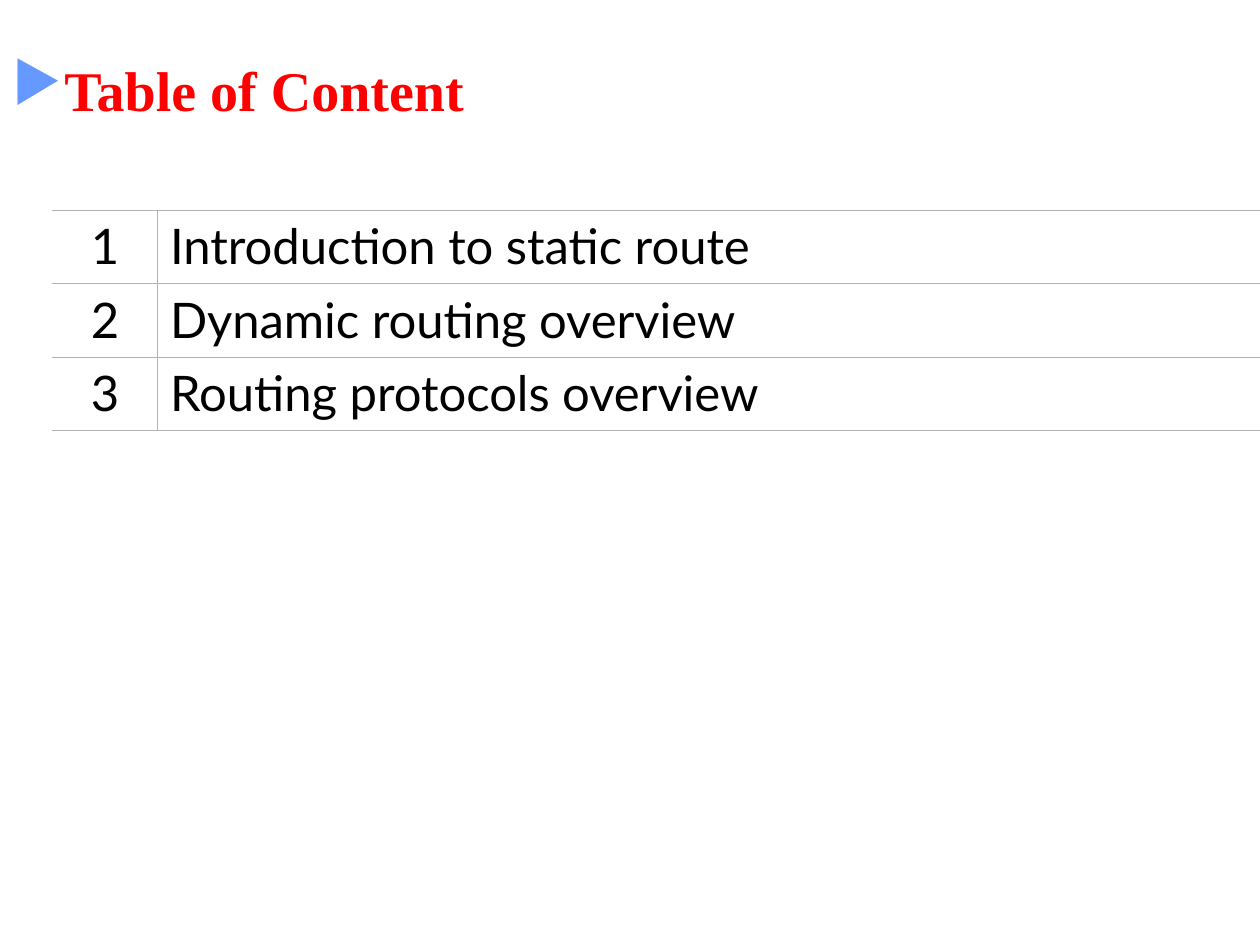
from lxml import etree
from pptx import Presentation
from pptx.dml.color import RGBColor
from pptx.enum.text import MSO_ANCHOR, PP_ALIGN
from pptx.oxml.ns import qn
from pptx.util import Inches, Pt

RED = RGBColor(0xFF, 0x00, 0x00)
BLACK = RGBColor(0x00, 0x00, 0x00)
BULLET_BLUE = RGBColor(0x66, 0x99, 0xFF)
RULE_GREY = RGBColor(0xB2, 0xB2, 0xB2)
MIDDLE, TOP = MSO_ANCHOR.MIDDLE, MSO_ANCHOR.TOP
LEFT, CENTER = PP_ALIGN.LEFT, PP_ALIGN.CENTER

GRID_COLUMNS, GRID_ROWS = 120, 90
TOPICS = [
    "Introduction to static route",
    "Dynamic routing overview",
    "Routing protocols overview",
]


class ContentsSlide:
    """Style and current slide; positions are in grid columns and rows."""

    title_font, title_size = "Times New Roman", Pt(32)
    body_font, body_size = "Lato", Pt(28)
    rule_width = Pt(0.45)

    def __init__(self, deck):
        self.slide = deck.slides.add_slide(deck.slide_layouts[6])
        self.column = deck.slide_width // GRID_COLUMNS
        self.row = deck.slide_height // GRID_ROWS

    def box(self, left, top, width, height):
        return (left * self.column, top * self.row,
                width * self.column, height * self.row)

    def style(self, font, name, size, color, bold=False):
        font.name, font.size, font.bold = name, size, bold
        font.color.rgb = color

    def bullet(self, paragraph, symbol, color):
        properties = paragraph._p.get_or_add_pPr()
        properties.set("marL", "0")
        properties.set("indent", "0")
        bullet_color = etree.SubElement(properties, qn("a:buClr"))
        etree.SubElement(bullet_color, qn("a:srgbClr"), val=str(color))
        etree.SubElement(properties, qn("a:buChar"), char=symbol)

    def title(self, text, *place):
        frame = self.slide.shapes.add_textbox(*self.box(*place)).text_frame
        frame.word_wrap = True
        frame.vertical_anchor = MIDDLE
        frame.text = text
        heading = frame.paragraphs[0]
        self.bullet(heading, "▶", BULLET_BLUE)
        self.style(heading.runs[0].font, self.title_font, self.title_size, RED, True)

    def borders(self, cell, sides):
        properties = cell._tc.get_or_add_tcPr()
        for position, side in enumerate("LRTB"):
            line = etree.Element(qn(f"a:ln{side}"), w=str(self.rule_width))
            if side in sides:
                fill = etree.SubElement(line, qn("a:solidFill"))
                etree.SubElement(fill, qn("a:srgbClr"), val=str(RULE_GREY))
            else:
                etree.SubElement(line, qn("a:noFill"))
            properties.insert(position, line)

    def cell(self, cell, text, alignment, sides):
        cell.fill.background()
        cell.vertical_anchor = TOP
        cell.text = text
        entry = cell.text_frame.paragraphs[0]
        entry.alignment = alignment
        self.style(entry.runs[0].font, self.body_font, self.body_size, BLACK)
        self.borders(cell, sides)

    def numbered_table(self, topics, left, top, widths, row_height):
        place = self.box(left, top, sum(widths), row_height * len(topics))
        table = self.slide.shapes.add_table(len(topics), len(widths), *place).table
        table.first_row = table.horz_banding = False
        for column, width in zip(table.columns, widths):
            column.width = width * self.column
        for number, (row, topic) in enumerate(zip(table.rows, topics), start=1):
            row.height = row_height * self.row
            self.cell(row.cells[0], str(number), CENTER, "RTB")
            self.cell(row.cells[1], topic, LEFT, "LRTB")


def main():
    deck = Presentation()
    deck.slide_width, deck.slide_height = Inches(10), Inches(7.5)
    contents = ContentsSlide(deck)

    # Heading
    contents.title("Table of Content", 0, 4, 120, 9)

    # Numbered topics, running to the right edge
    contents.numbered_table(TOPICS, 5, 20, widths=(10, 105), row_height=7)

    deck.save("out.pptx")


if __name__ == "__main__":
    main()
